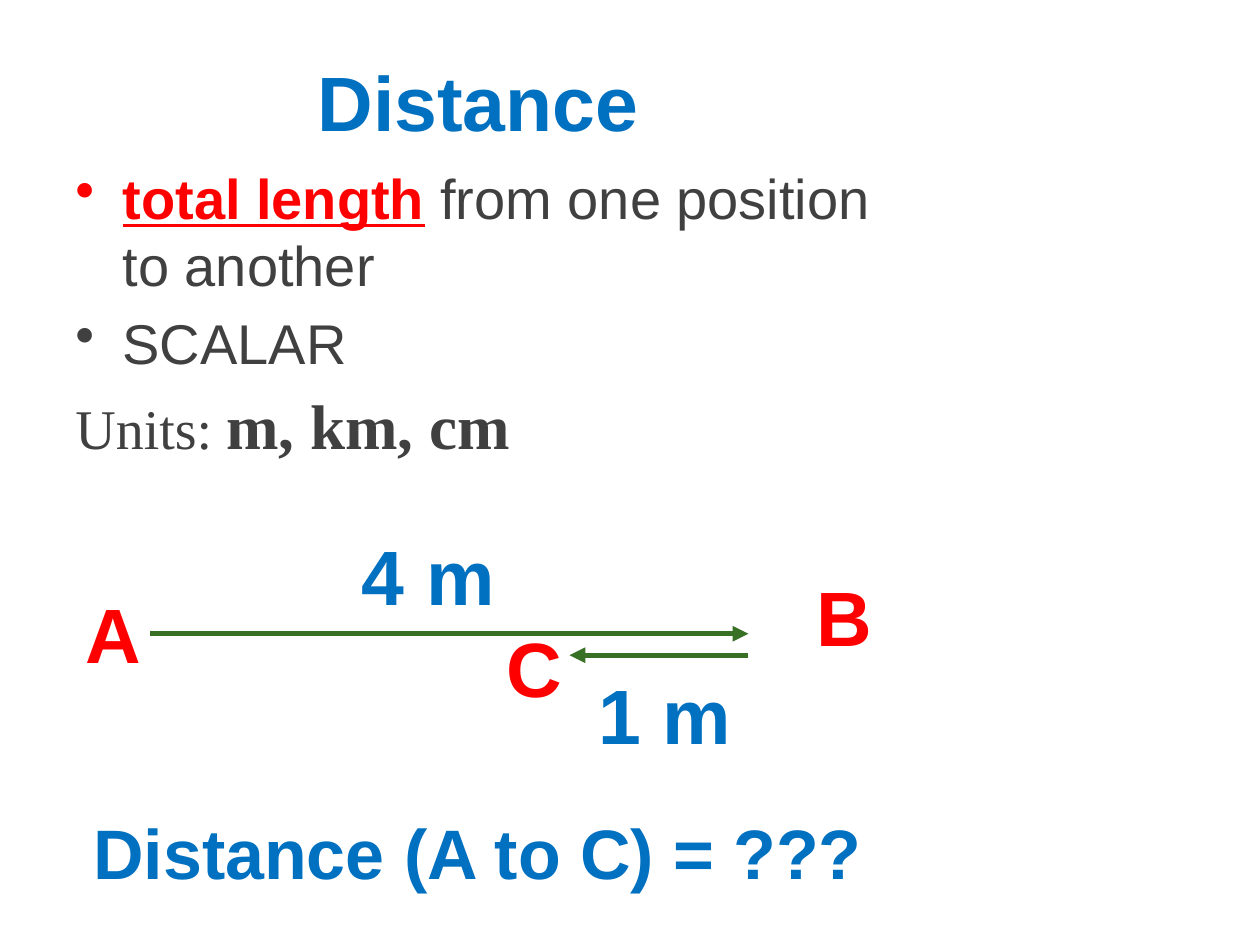
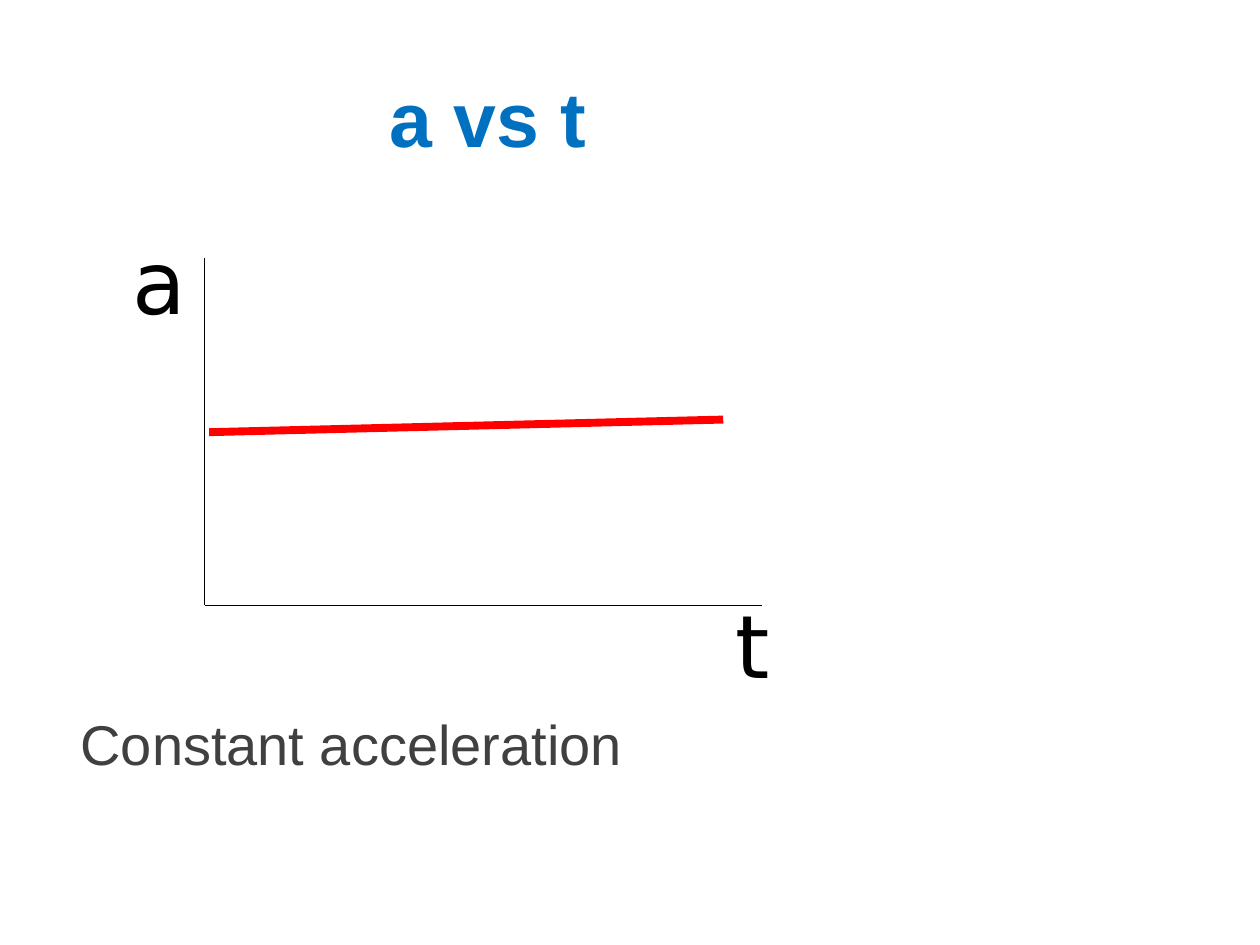
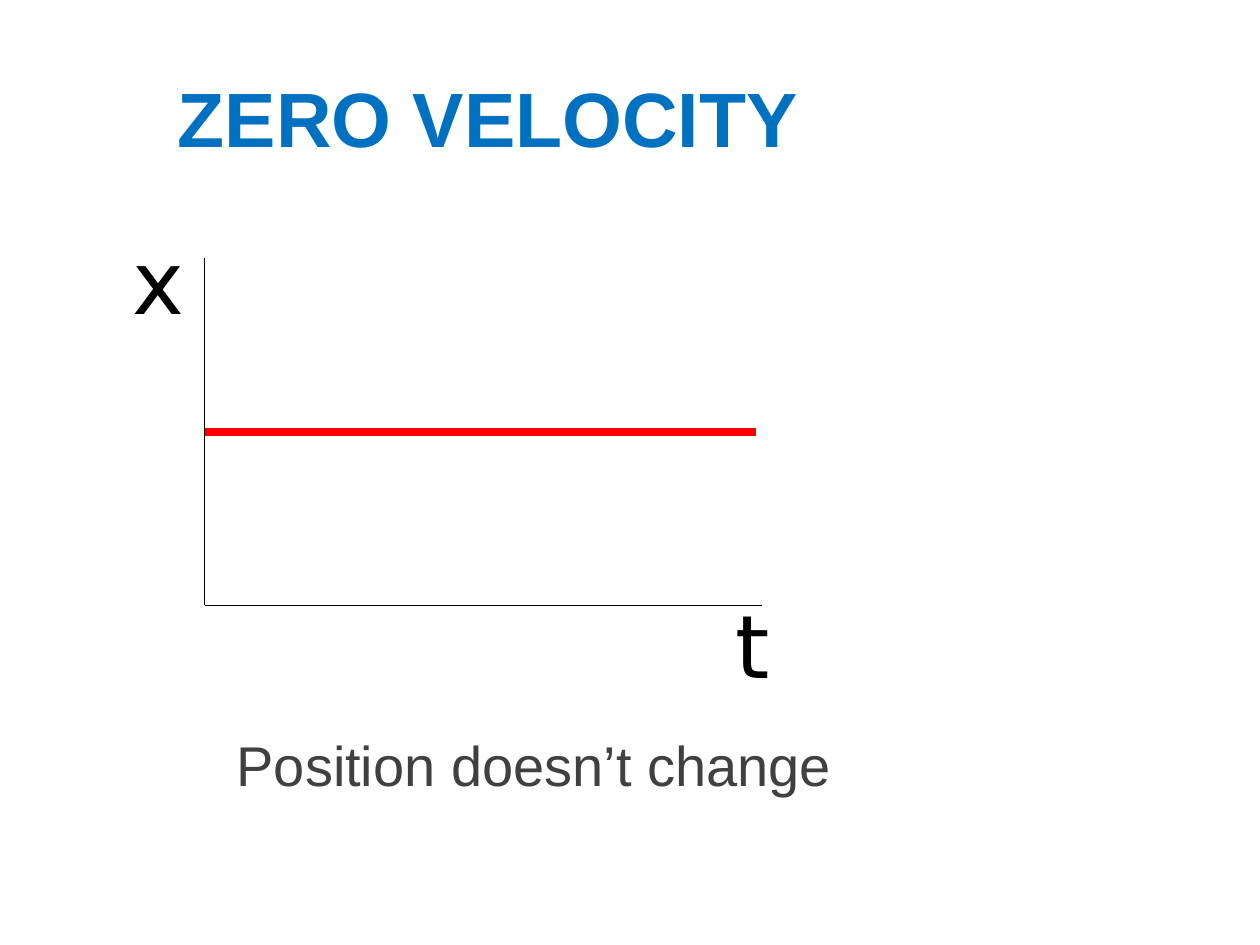
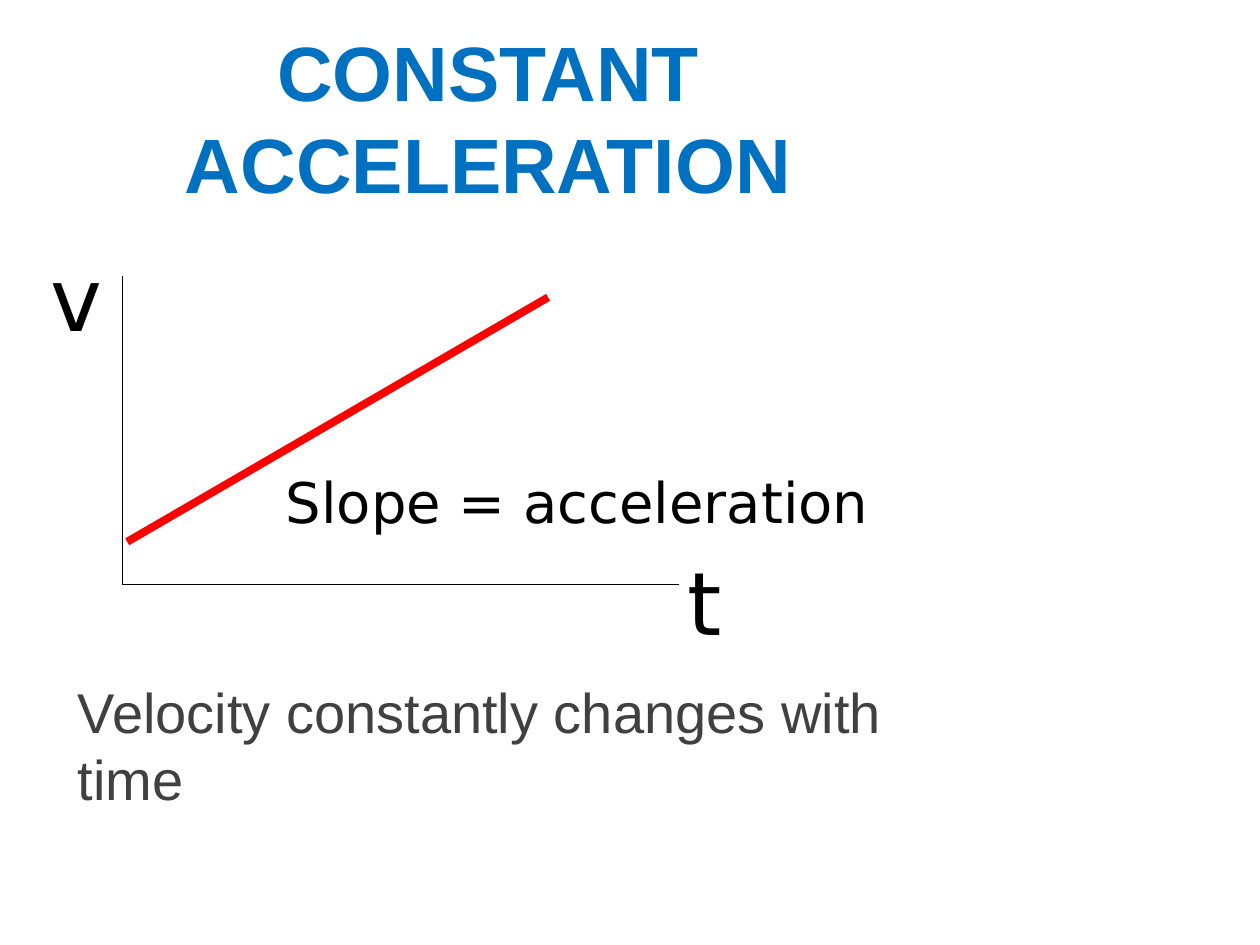
import pptx
import pptx.dml.color
import pptx.enum.shapes
import pptx.enum.text
import pptx.oxml.ns
import pptx.util
from lxml import etree

RGB = pptx.dml.color.RGBColor
BLUE = RGB(0x00, 0x70, 0xC0)
RED = RGB(0xFF, 0x00, 0x00)
GREY = RGB(0x40, 0x40, 0x40)
GREEN = RGB(0x38, 0x70, 0x25)
BLACK = RGB(0x00, 0x00, 0x00)

ALIGN = pptx.enum.text.PP_ALIGN
ANCHOR = pptx.enum.text.MSO_ANCHOR
FIT = pptx.enum.text.MSO_AUTO_SIZE

COLS, ROWS = 100, 75
HEAD = {"name": "Arial", "size": 44, "bold": True}
BODY = {"name": "Arial", "size": 32}
SIGN = {"name": "DejaVu Sans", "size": 50}
TERM = {"bold": True, "underline": True}
UNITS = {"name": "Times New Roman"}


def add(parent, tag, **attrs):
    return etree.SubElement(parent, pptx.oxml.ns.qn(tag), **attrs)


class Deck:
    """Draws on the current slide; lengths are in columns and rows of the grid."""

    def __init__(self):
        self.prs = pptx.Presentation()
        self.prs.slide_width = pptx.util.Inches(10)
        self.prs.slide_height = pptx.util.Inches(7.5)
        self.slide = None

    def page(self, title, left=5, top=3):
        self.slide = self.prs.slides.add_slide(self.prs.slide_layouts[6])
        self.head(title, (left, top, 67.5, 12.5))

    def x(self, cols):
        return round(self.prs.slide_width * cols / COLS)

    def y(self, rows):
        return round(self.prs.slide_height * rows / ROWS)

    def box(self, area, anchor=ANCHOR.TOP):
        left, top, width, height = area
        shape = self.slide.shapes.add_textbox(
            self.x(left), self.y(top), self.x(width), self.y(height))
        frame = shape.text_frame
        frame.word_wrap = True
        frame.vertical_anchor = anchor
        return frame

    def run(self, para, text, color, style):
        run = para.add_run()
        run.text = text
        run.font.color.rgb = color
        for key, value in style.items():
            setattr(run.font, key, pptx.util.Pt(value) if key == "size" else value)

    def head(self, text, area, color=BLUE, size=44):
        """Bold text in the middle of its area."""
        para = self.box(area, ANCHOR.MIDDLE).paragraphs[0]
        para.alignment = ALIGN.CENTER
        self.run(para, text, color, {**HEAD, "size": size})

    def note(self, text, area, align=ALIGN.LEFT):
        para = self.box(area).paragraphs[0]
        para.alignment = align
        self.run(para, text, GREY, BODY)

    def sign(self, text, area, size=50):
        """Plain black label of a graph."""
        frame = self.box(area)
        frame.auto_size = FIT.SHAPE_TO_FIT_TEXT
        self.run(frame.paragraphs[0], text, BLACK, {**SIGN, "size": size})

    def list(self, area, items):
        """Each item is a bullet flag and runs of text, colour and style."""
        frame = self.box(area)
        for index, (bullet, runs) in enumerate(items):
            para = frame.add_paragraph() if index else frame.paragraphs[0]
            if bullet:
                props = para._p.get_or_add_pPr()
                indent = self.x(3.75)
                props.set("marL", str(indent))
                props.set("indent", str(-indent))
                add(props, "a:buChar", char="•")
            if index:
                para.space_before = pptx.util.Pt(6)
            for text, color, style in runs:
                self.run(para, text, color, {**BODY, **style})

    def line(self, start, end, color, width, arrow=False):
        (x1, y1), (x2, y2) = start, end
        link = self.slide.shapes.add_connector(
            pptx.enum.shapes.MSO_CONNECTOR.STRAIGHT,
            self.x(x1), self.y(y1), self.x(x2), self.y(y2))
        link.line.color.rgb = color
        link.line.width = pptx.util.Pt(width)
        if arrow:
            add(link.line._get_or_add_ln(), "a:tailEnd", type="triangle")
        add(link._element.spPr, "a:effectLst")

    def graph(self, name, left, top, base, start, end, time):
        """Axes from the corner (left, base), a red curve, and both axis names."""
        corner = (left, base)
        self.line((left, top), corner, BLACK, 0.75)
        self.line(corner, (left + 44.2, base), BLACK, 0.75)
        self.line(start, end, RED, 4.5)
        for text, (x, y) in ((name, (left - 6.7, top - 3)), ("t", time)):
            self.sign(text, (x, y, 5.8, 9.4))


def main():
    deck = Deck()

    deck.page("Distance", 4.2, 1.7)
    deck.list((5, 12.5, 65.8, 26.7), [
        (True, [("total length", RED, TERM),
                (" from one position to another", GREY, {})]),
        (True, [("SCALAR", GREY, {})]),
        (False, [("Units: ", GREY, UNITS),
                 ("m, km, cm", GREY, {**UNITS, "size": 36, "bold": True})]),
    ])
    deck.line((11.9, 50.3), (59.4, 50.3), GREEN, 3, arrow=True)
    deck.line((59.4, 52), (45.2, 52), GREEN, 3, arrow=True)
    deck.head("4 m", (24, 41, 20, 9.3))
    deck.head("1 m", (45.5, 52, 14.6, 9.3))
    deck.head("Distance (A to C) = ???", (2.5, 61.3, 70.8, 12.5), size=40)
    for point, x, y in (("A", 2.2, 45.6), ("B", 60.2, 44.2), ("C", 35.6, 48.3)):
        deck.head(point, (x, y, 13.6, 9.3), RED)

    wide = {"left": 16.25, "top": 20.5, "base": 48.05, "time": (57.4, 46.4)}

    deck.page("a vs t")
    deck.note("Constant acceleration", (5.4, 55.8, 65.8, 7))
    deck.graph("a", start=(57.4, 33.3), end=(16.6, 34.3), **wide)

    deck.page("ZERO VELOCITY")
    deck.note("Position doesn’t change", (9.5, 57.5, 65.8, 7), ALIGN.CENTER)
    deck.graph("x", start=(60, 34.3), end=(16.3, 34.3), **wide)

    deck.page("CONSTANT ACCELERATION")
    deck.note("Velocity constantly changes with time", (5.2, 53.3, 65.8, 11.7))
    deck.graph("v", left=9.7, top=21.9, base=46.4,
               start=(43.5, 23.6), end=(10.1, 43), time=(53.6, 43))
    deck.sign("Slope = acceleration", (21.7, 36.6, 53.2, 6.4), size=32)

    deck.prs.save("out.pptx")


if __name__ == "__main__":
    main()
